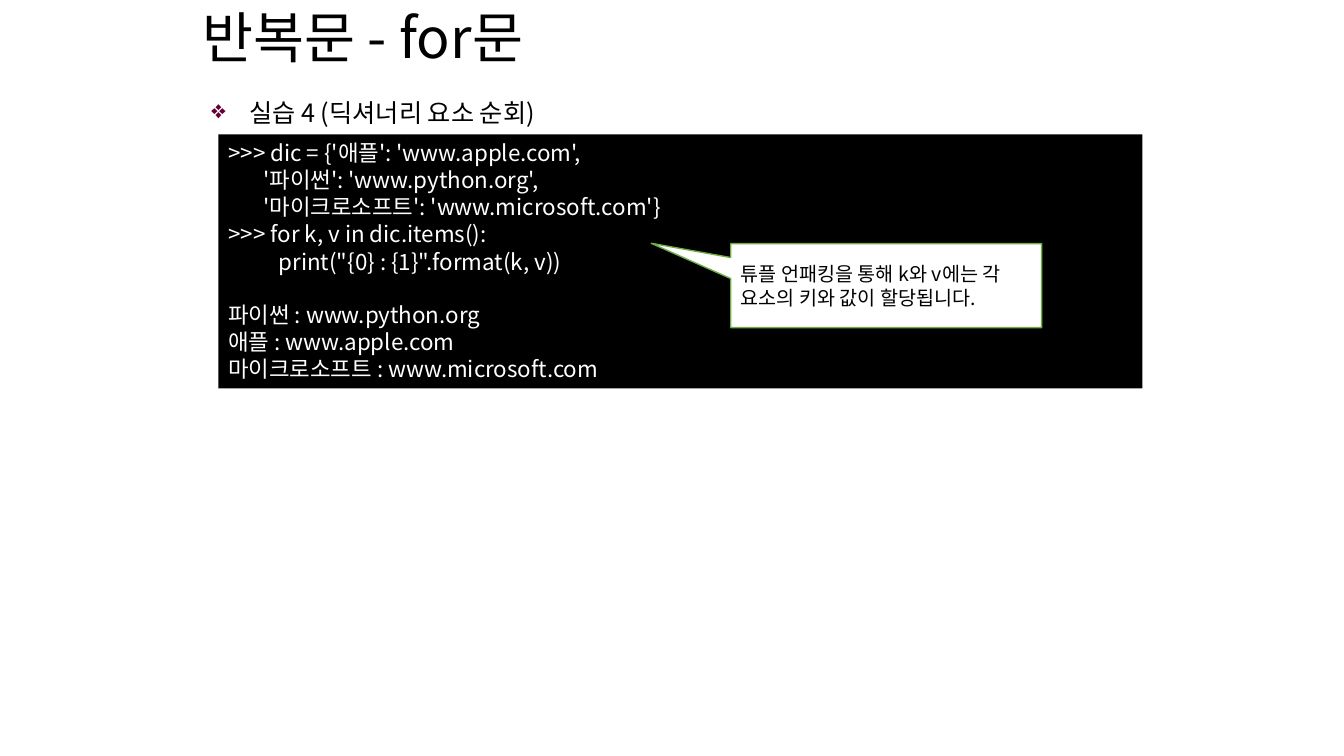
"""Build a slide on looping over a dictionary with for."""
from lxml import etree
from pptx import Presentation
from pptx.dml.color import RGBColor
from pptx.enum.shapes import MSO_SHAPE
from pptx.enum.text import MSO_ANCHOR, PP_ALIGN
from pptx.oxml.ns import qn
from pptx.util import Pt

RECT, CALLOUT = MSO_SHAPE.RECTANGLE, MSO_SHAPE.RECTANGULAR_CALLOUT
TOP, MIDDLE = MSO_ANCHOR.TOP, MSO_ANCHOR.MIDDLE
LEFT, JUSTIFY = PP_ALIGN.LEFT, PP_ALIGN.JUSTIFY
FONT = "Noto Sans CJK KR"
COLORS = {"black": "000000", "white": "FFFFFF", "green": "70AD47", "plum": "660033"}


def color(name):
    return RGBColor.from_string(COLORS[name])


def write(shape, lines, size, ink, anchor=TOP, align=LEFT, pitch=None):
    frame = shape.text_frame
    frame.word_wrap = True
    frame.vertical_anchor = anchor
    for i, line in enumerate(lines):
        para = frame.add_paragraph() if i else frame.paragraphs[0]
        para.alignment = align
        if pitch:
            para.line_spacing = pitch
        run = para.add_run()
        run.text = line
        run.font.size = Pt(size)
        run.font.name = FONT
        run.font.color.rgb = color(ink)
        etree.SubElement(run.font._element, qn("a:ea"), typeface=FONT)
    return frame.paragraphs


deck = Presentation()
deck.slide_width, deck.slide_height = Pt(960), Pt(540)
slide = deck.slides.add_slide(deck.slide_layouts[6])
shapes = slide.shapes

title = shapes.add_textbox(Pt(137.5), Pt(6.5), Pt(672.5), Pt(45.5))
write(title, ["반복문 - for문"], 39.6, "black", MIDDLE, pitch=0.9)

body = shapes.add_textbox(Pt(144), Pt(66), Pt(684), Pt(450))
head = write(body, ["실습 4 (딕셔너리 요소 순회)"], 18, "black")[0]
props = head._p.get_or_add_pPr()
props.set("marL", str(Pt(27)))
props.set("indent", str(Pt(-27)))
tint = etree.SubElement(props, qn("a:buClr"))
etree.SubElement(tint, qn("a:srgbClr"), val=COLORS["plum"])
etree.SubElement(props, qn("a:buChar"), char="❖")

code = shapes.add_shape(RECT, Pt(156), Pt(96), Pt(660), Pt(181.5))
code.shadow.inherit = False
code.fill.solid()
code.fill.fore_color.rgb = color("black")
code.line.fill.background()
lines = [
    ">>> dic = {'애플': 'www.apple.com',",
    "       '파이썬': 'www.python.org',",
    "       '마이크로소프트': 'www.microsoft.com'}",
    ">>> for k, v in dic.items():",
    "\tprint(\"{0} : {1}\".format(k, v))",
    "파이썬 : www.python.org",
    "애플 : www.apple.com",
    "마이크로소프트 : www.microsoft.com",
]
rows = write(code, lines, 16, "white", align=JUSTIFY, pitch=Pt(19.3))
rows[5].space_before = Pt(19)

note = shapes.add_shape(CALLOUT, Pt(522), Pt(174), Pt(222), Pt(60))
note.shadow.inherit = False
note.adjustments[0], note.adjustments[1] = -0.756, -0.504
note.fill.solid()
note.fill.fore_color.rgb = color("white")
note.line.color.rgb = color("green")
note.line.width = Pt(1)
hint = "튜플 언패킹을 통해 k와 v에는 각 요소의 키와 값이 할당됩니다."
write(note, [hint], 14, "black", MIDDLE, pitch=Pt(17))

deck.save("out.pptx")
